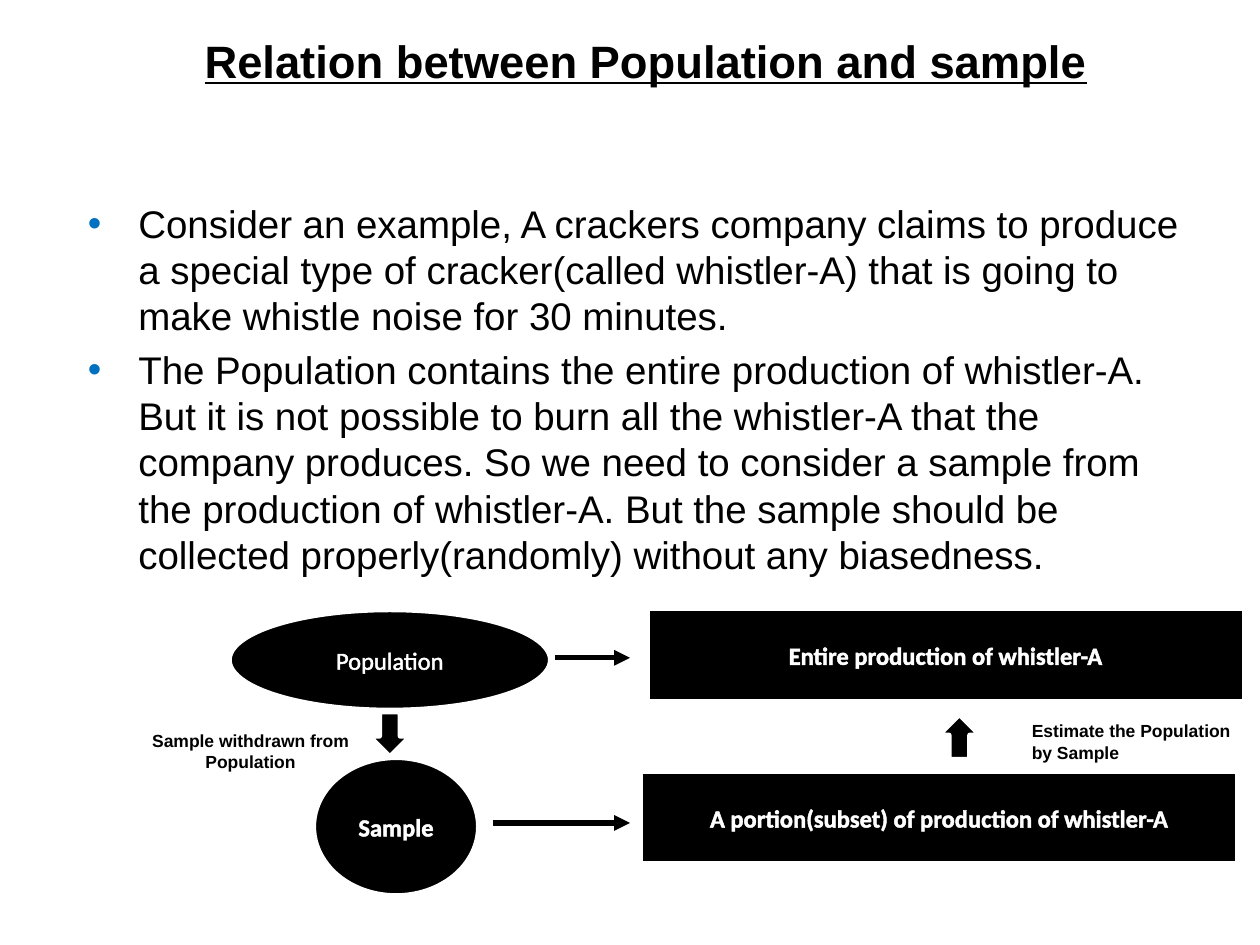
from lxml.etree import SubElement
from pptx import Presentation
from pptx.dml.color import RGBColor
from pptx.enum.shapes import MSO_CONNECTOR as Conn, MSO_SHAPE as Shape
from pptx.enum.text import MSO_ANCHOR as Anchor, PP_ALIGN as Align
from pptx.oxml import parse_xml
from pptx.oxml.ns import nsdecls, qn
from pptx.util import Cm, Pt

BLACK = RGBColor(0x00, 0x00, 0x00)
WHITE = RGBColor(0xFF, 0xFF, 0xFF)
BLUE = RGBColor(0x00, 0x70, 0xC0)

TITLE = "Relation between Population and sample"
POINTS = [
    "Consider an example, A crackers company claims to produce a special type of "
    "cracker(called whistler-A) that is going to make whistle noise for 30 minutes.",
    "The Population contains the entire production of whistler-A. But it is not possible "
    "to burn all the whistler-A that the company produces. So we need to consider a sample "
    "from the production of whistler-A. But the sample should be collected "
    "properly(randomly) without any biasedness.",
]


def add_run(p, text, size, color=BLACK, font="Arial", bold=False):
    """Add one formatted run to a paragraph and return it."""
    r = p.add_run()
    r.text = text
    r.font.name, r.font.size, r.font.bold = font, Pt(size), bold
    r.font.color.rgb = color
    return r


def add_text_box(s, x, y, w, h, inset=None):
    """Add a wrapping text box and return its text frame."""
    tf = s.shapes.add_textbox(Cm(x), Cm(y), Cm(w), Cm(h)).text_frame
    tf.word_wrap = True
    if inset is not None:
        tf.margin_top = tf.margin_bottom = Cm(inset)
    return tf


def set_indent(p, left, first):
    """Set the left margin and first-line indent of a paragraph."""
    pPr = p._p.get_or_add_pPr()
    pPr.set("marL", str(Cm(left)))
    pPr.set("indent", str(Cm(first)))
    return pPr


def add_title(s, x, y, w, h):
    """Place the underlined heading."""
    p = add_text_box(s, x, y, w, h, 0.25).paragraphs[0]
    p.alignment = Align.CENTER
    set_indent(p, 1.27, -0.64)
    add_run(p, TITLE, 25.9, bold=True).font.underline = True


def add_points(s, x, y, w, h):
    """Place the bulleted explanation."""
    tf = add_text_box(s, x, y, w, h, 0.25)
    for i, text in enumerate(POINTS):
        p = tf.add_paragraph() if i else tf.paragraphs[0]
        pPr = set_indent(p, 1.27, -1.02)
        if i:
            p.space_before = Pt(4.4)
        color = SubElement(pPr, qn("a:buClr"))
        SubElement(color, qn("a:srgbClr")).set("val", str(BLUE))
        SubElement(pPr, qn("a:buFont")).set("typeface", "Arial")
        SubElement(pPr, qn("a:buChar")).set("char", "•")
        add_run(p, text, 22)


def add_node(s, kind, x, y, w, h, line, text="", bold=True):
    """Add a black shape with a white border and optional outlined text."""
    sp = s.shapes.add_shape(kind, Cm(x), Cm(y), Cm(w), Cm(h))
    sp.shadow.inherit = False
    sp.fill.solid()
    sp.fill.fore_color.rgb = BLACK
    sp.line.color.rgb = WHITE
    sp.line.width = Pt(line)
    if text:
        tf = sp.text_frame
        tf.word_wrap = True
        tf.vertical_anchor = Anchor.MIDDLE
        p = tf.paragraphs[0]
        p.alignment = Align.CENTER
        r = add_run(p, text, 14, WHITE, "Calibri", bold)
        r._r.get_or_add_rPr().insert(0, parse_xml(
            f'<a:ln {nsdecls("a")} w="{Pt(0.75)}"><a:solidFill>'
            f'<a:srgbClr val="{WHITE}"/></a:solidFill></a:ln>'))
    return sp


def add_arrow(s, x1, x2, y):
    """Add a horizontal line with an arrowhead at its right end."""
    c = s.shapes.add_connector(Conn.STRAIGHT, Cm(x1), Cm(y), Cm(x2), Cm(y))
    c.line.color.rgb = BLACK
    c.line.width = Pt(3)
    SubElement(c.line._get_or_add_ln(), qn("a:tailEnd")).set("type", "triangle")
    SubElement(c._element.spPr, qn("a:effectLst"))


def add_label(s, x, y, text, align):
    """Add a small bold caption beside a block arrow."""
    p = add_text_box(s, x, y, 4.52, 1.12).paragraphs[0]
    p.alignment = align
    add_run(p, text, 10, bold=True)


def add_diagram(s, x, y, w):
    """Place the population and sample flow in a box of the given width."""
    bar_w, bar_h = 12.01, 1.83
    add_node(s, Shape.OVAL, x + 1.83, y, 6.48, 2.03, 3, "Population", False)
    add_node(s, Shape.RECTANGLE, x + w - bar_w, y, bar_w, bar_h, 2,
             "Entire production of whistler-A")
    add_node(s, Shape.RECTANGLE, x + w - bar_w - 0.13, y + 3.28, bar_w, bar_h, 2,
             "A portion(subset) of production of whistler-A")
    add_node(s, Shape.OVAL, x + 3.53, y + 2.98, 3.33, 2.79, 3, "Sample")
    for dx, dy, turn in [(4.65, 2.06, 0), (16.13, 2.11, 180)]:
        add_node(s, Shape.DOWN_ARROW, x + dx, y + dy, 0.84, 0.91, 3).rotation = turn
    for start, dy in [(8.39, 0.97), (7.14, 4.3)]:
        add_arrow(s, x + start, x + 9.91, y + dy)
    add_label(s, x, y + 2.31, "Sample withdrawn from Population", Align.CENTER)
    add_label(s, x + w - 4.52, y + 2.11, "Estimate the Population by Sample", Align.LEFT)


def main():
    """Build and save the slide."""
    prs = Presentation()
    prs.slide_width, prs.slide_height = Cm(25.4), Cm(19.05)
    s = prs.slides.add_slide(prs.slide_layouts[6])
    add_title(s, 1.27, 0.41, 22.86, 1.55)
    add_points(s, 1.27, 3.78, 22.89, 12.42)
    add_diagram(s, 2.79, 12.29, 22.28)
    prs.save("out.pptx")


if __name__ == "__main__":
    main()
